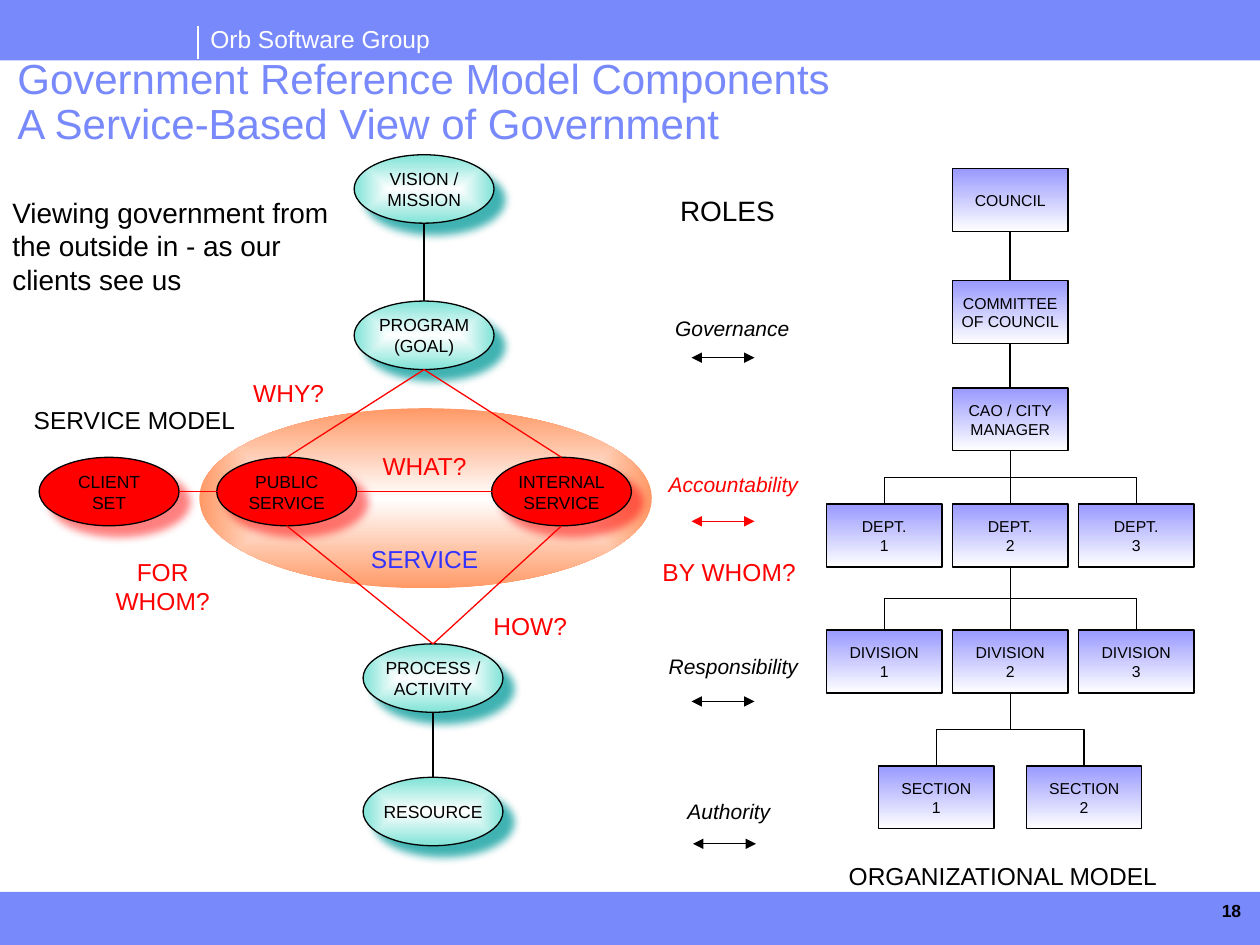
from dataclasses import dataclass
from lxml import etree
from pptx import Presentation
from pptx.dml.color import RGBColor
from pptx.enum.shapes import MSO_CONNECTOR, MSO_SHAPE
from pptx.enum.text import MSO_ANCHOR, MSO_AUTO_SIZE, PP_ALIGN
from pptx.oxml.ns import qn
from pptx.util import Cm, Pt

RECT, OVAL = MSO_SHAPE.RECTANGLE, MSO_SHAPE.OVAL
LINE, ELBOW = MSO_CONNECTOR.STRAIGHT, MSO_CONNECTOR.ELBOW
LEFT, MID, RIGHT = PP_ALIGN.LEFT, PP_ALIGN.CENTER, PP_ALIGN.RIGHT
GROW, FIXED = MSO_AUTO_SIZE.SHAPE_TO_FIT_TEXT, MSO_AUTO_SIZE.NONE
CENTRE = MSO_ANCHOR.MIDDLE
TOP, BOTTOM = 0, 2


@dataclass(frozen=True)
class Theme:
    font: str = "Arial"
    band: str = "7889FB"
    ink: str = "000000"
    paper: str = "FFFFFF"
    red: str = "FF0000"
    blue: str = "3333FF"
    mint: str = "80E3D7"
    teal: str = "009999"
    peach: str = "FF9966"
    lilac: str = "9999FF"
    title: int = 24
    lead: int = 16
    label: int = 14
    role: int = 12
    node: int = 10
    unit: int = 9


@dataclass(frozen=True)
class Pane:
    shapes: object
    left: float
    top: float

    def at(self, x, y):
        return Cm(self.left + x), Cm(self.top + y)


THEME = Theme()


def rgb(code):
    return RGBColor.from_string(code)


def assign(item, values):
    for name, value in values.items():
        setattr(item, name, value)


def write(shape, words, size, color=THEME.ink, align=MID, inset=0.0, wrap=False,
          fit=FIXED, **style):
    frame = shape.text_frame
    frame.text = words
    side, edge = Cm(inset), Cm(inset / 2)
    assign(frame, {"word_wrap": wrap, "auto_size": fit, "margin_left": side,
                   "margin_right": side, "margin_top": edge, "margin_bottom": edge})
    for para in frame.paragraphs:
        para.alignment = align
        for run in para.runs:
            assign(run.font, {"name": THEME.font, "size": Pt(size), **style})
            run.font.color.rgb = rgb(color)


def label(pane, x, y, w, h, words, size, color=THEME.ink, **style):
    box = pane.shapes.add_textbox(*pane.at(x, y), Cm(w), Cm(h))
    write(box, words, size, color, **{"fit": GROW, **style})


def shade(shape, first, last, radial=False):
    shape.fill.gradient()
    for stop, color in zip(shape.fill.gradient_stops, (first, last)):
        stop.color.rgb = rgb(color)
    shape.fill.gradient_angle = 270
    if radial:
        grad = shape._element.spPr.find(qn("a:gradFill"))
        grad.remove(grad.find(qn("a:lin")))
        ring = etree.SubElement(grad, qn("a:path"), path="shape")
        etree.SubElement(ring, qn("a:fillToRect"), l="50000", t="50000", r="50000", b="50000")


def block(pane, kind, x, y, w, h, fill=None, line=None, width=0.75):
    shape = pane.shapes.add_shape(kind, *pane.at(x, y), Cm(w), Cm(h))
    shape.shadow.inherit = False
    if fill:
        shape.fill.solid()
        shape.fill.fore_color.rgb = rgb(fill)
    if line:
        shape.line.color.rgb = rgb(line)
        shape.line.width = Pt(width)
    else:
        shape.line.fill.background()
    return shape


def glow(shape, color, alpha):
    effects = shape._element.spPr.find(qn("a:effectLst"))
    cast = etree.SubElement(effects, qn("a:outerShdw"), blurRad=str(Pt(5)),
                            dist=str(Pt(8.5)), dir="2700000", algn="tl", rotWithShape="0")
    tint = etree.SubElement(cast, qn("a:srgbClr"), val=color)
    etree.SubElement(tint, qn("a:alpha"), val=str(alpha * 1000))


def wire(shapes, start, end, color=THEME.ink, width=0.75, kind=LINE, heads=False):
    link = shapes.add_connector(kind, *start, *end)
    link.line.color.rgb = rgb(color)
    link.line.width = Pt(width)
    etree.SubElement(link._element.spPr, qn("a:effectLst"))
    if heads:
        for end_tag in ("a:headEnd", "a:tailEnd"):
            etree.SubElement(link.line._get_or_add_ln(), qn(end_tag), type="triangle")
    return link


def join(shapes, upper, lower, width=0.75):
    start = upper.left + upper.width // 2, upper.top + upper.height
    end = lower.left + lower.width // 2, lower.top
    run, drop = end[0] - start[0], end[1] - start[1]
    link = wire(shapes, start, end, width=width, kind=ELBOW if run else LINE)
    link.begin_connect(upper, BOTTOM)
    link.end_connect(lower, TOP)
    if run:
        span = abs(run)
        assign(link, {"left": (start[0] + end[0] - drop) // 2,
                      "top": (start[1] + end[1] - span) // 2,
                      "width": drop, "height": span})
        assign(link._element.spPr.xfrm, {"rot": 90 if run < 0 else 270, "flipH": run > 0})


def draw_frame(pane):
    block(pane, RECT, 0, 0, 25.4, 1.22, THEME.band)
    block(pane, RECT, 0, 17.98, 25.4, 1.07, THEME.band, THEME.band, 0.25)
    label(pane, 3.99, 0.36, 4.98, 0.84, "Orb Software Group", THEME.label, THEME.paper,
          align=LEFT, inset=0.25)
    wire(pane.shapes, pane.at(3.99, 0.53), pane.at(3.99, 1.19), THEME.paper)
    label(pane, 23.14, 18.14, 1.88, 0.43, "18", THEME.node, align=RIGHT, wrap=True, bold=True)


def draw_title(pane):
    title = pane.shapes.title
    left, top = pane.at(0.1, 1.02)
    assign(title, {"left": left, "top": top, "width": Cm(25.3), "height": Cm(2.13)})
    write(title, "Government Reference Model Components\vA Service-Based View of Government",
          THEME.title, THEME.band, align=LEFT, inset=0.25, wrap=True)
    title.text_frame.vertical_anchor = CENTRE
    title.text_frame.paragraphs[0].line_spacing = 0.9


def draw_service(pane):
    wide, high = 2.82, 1.38
    halo = block(pane, OVAL, 3.23, 5.11, 9.12, 3.63)
    shade(halo, THEME.paper, THEME.peach, radial=True)
    nodes = {
        "vision": ("VISION /\nMISSION", 6.35, 0, False),
        "goal": ("PROGRAM\n(GOAL)", 6.35, 2.95, False),
        "public": ("PUBLIC\nSERVICE", 3.58, 6.1, True),
        "inner": ("INTERNAL\nSERVICE", 9.12, 6.1, True),
        "process": ("PROCESS /\nACTIVITY", 6.53, 9.86, False),
        "resource": ("RESOURCE", 6.53, 12.55, False),
        "client": ("CLIENT\nSET", 0, 6.1, True),
    }
    for words, x, y, hot in nodes.values():
        node = block(pane, OVAL, x, y, wide, high, THEME.red if hot else None, THEME.ink)
        if not hot:
            shade(node, THEME.paper, THEME.mint, radial=True)
        glow(node, *((THEME.red, 50) if hot else (THEME.teal, 75)))
        write(node, words, THEME.node)
        node.text_frame.vertical_anchor = CENTRE

    def port(name, across, down):
        _, x, y, _ = nodes[name]
        return pane.at(x + across * wide, y + down * high)

    for upper, lower, color in (
            ("vision", "goal", THEME.ink), ("goal", "public", THEME.red),
            ("goal", "inner", THEME.red), ("public", "process", THEME.red),
            ("inner", "process", THEME.red), ("process", "resource", THEME.ink)):
        wire(pane.shapes, port(upper, 0.5, 1), port(lower, 0.5, 0), color)
    for near, far in (("client", "public"), ("public", "inner")):
        wire(pane.shapes, port(near, 1, 0.5), port(far, 0, 0.5), THEME.red)

    for words, x, y, h, color in (
            ("WHY?", 3.66, 4.5, 0.58, THEME.red), ("WHAT?", 6.4, 5.97, 0.58, THEME.red),
            ("SERVICE", 6.4, 7.84, 0.58, THEME.blue), ("HOW?", 8.53, 9.19, 0.58, THEME.red),
            ("FOR WHOM?", 1.12, 8.1, 1.19, THEME.red)):
        label(pane, x, y, 2.74, h, words, THEME.label, color, wrap=True)
    label(pane, -0.36, 4.93, 4.6, 0.84, "SERVICE MODEL", THEME.label, align=LEFT, inset=0.25)
    label(pane, -0.79, 0.69, 7.19, 2.39,
          "Viewing government from the outside in - as our clients see us",
          THEME.lead, align=LEFT, inset=0.25, wrap=True)


def draw_roles(pane):
    label(pane, 0.23, 0, 2.46, 0.94, "ROLES", THEME.lead, align=LEFT, inset=0.25)
    for words, x, y, w, tip, level, color in (
            ("Governance", 0.13, 2.46, 2.95, 0.71, 3.43, THEME.ink),
            ("Accountability", 0, 5.61, 3.43, 0.71, 6.73, THEME.red),
            ("Responsibility", 0, 9.27, 3.4, 0.71, 10.36, THEME.ink),
            ("Authority", 0.38, 12.19, 2.39, 0.74, 13.23, THEME.ink)):
        label(pane, x, y, w, 0.76, words, THEME.role, color, align=LEFT, inset=0.25, italic=True)
        wire(pane.shapes, pane.at(tip, level), pane.at(tip + 1.27, level), color, heads=True)
    label(pane, 0.1, 7.44, 2.74, 0.58, "BY WHOM?", THEME.label, THEME.red, wrap=True)


def draw_org(pane):
    step = 2.54

    def unit(words, x, y):
        box = block(pane, RECT, x, y, 2.33, 1.27, line=THEME.ink)
        shade(box, THEME.lilac, THEME.paper)
        write(box, words, THEME.unit)
        box.text_frame.vertical_anchor = CENTRE
        return box

    chain = [unit(words, step, y) for words, y in (
        ("COUNCIL", 0), ("COMMITTEE\nOF COUNCIL", 2.26), ("CAO / CITY\nMANAGER", 4.42))]
    for upper, lower in zip(chain, chain[1:]):
        join(pane.shapes, upper, lower, 1)
    head = chain[-1]
    for name, y, cols in (("DEPT.", 6.76, (0, step, 2 * step)),
                          ("DIVISION", 9.3, (0, step, 2 * step)),
                          ("SECTION", 12.04, (1.05, 4.03))):
        row = [unit(f"{name}\n{num}", x, y) for num, x in enumerate(cols, 1)]
        for box in row:
            join(pane.shapes, head, box)
        head = row[1]
    label(pane, 0.2, 13.84, 6.91, 0.84, "ORGANIZATIONAL MODEL", THEME.label,
          align=LEFT, inset=0.25)


def main():
    deck = Presentation()
    assign(deck, {"slide_width": Cm(25.4), "slide_height": Cm(19.05)})
    shapes = deck.slides.add_slide(deck.slide_layouts[5]).shapes
    for draw, left, top in ((draw_frame, 0, 0), (draw_title, 0, 0), (draw_service, 0.79, 3.12),
                            (draw_roles, 13.23, 3.78), (draw_org, 16.66, 3.4)):
        draw(Pane(shapes, left, top))
    deck.save("out.pptx")


if __name__ == "__main__":
    main()
